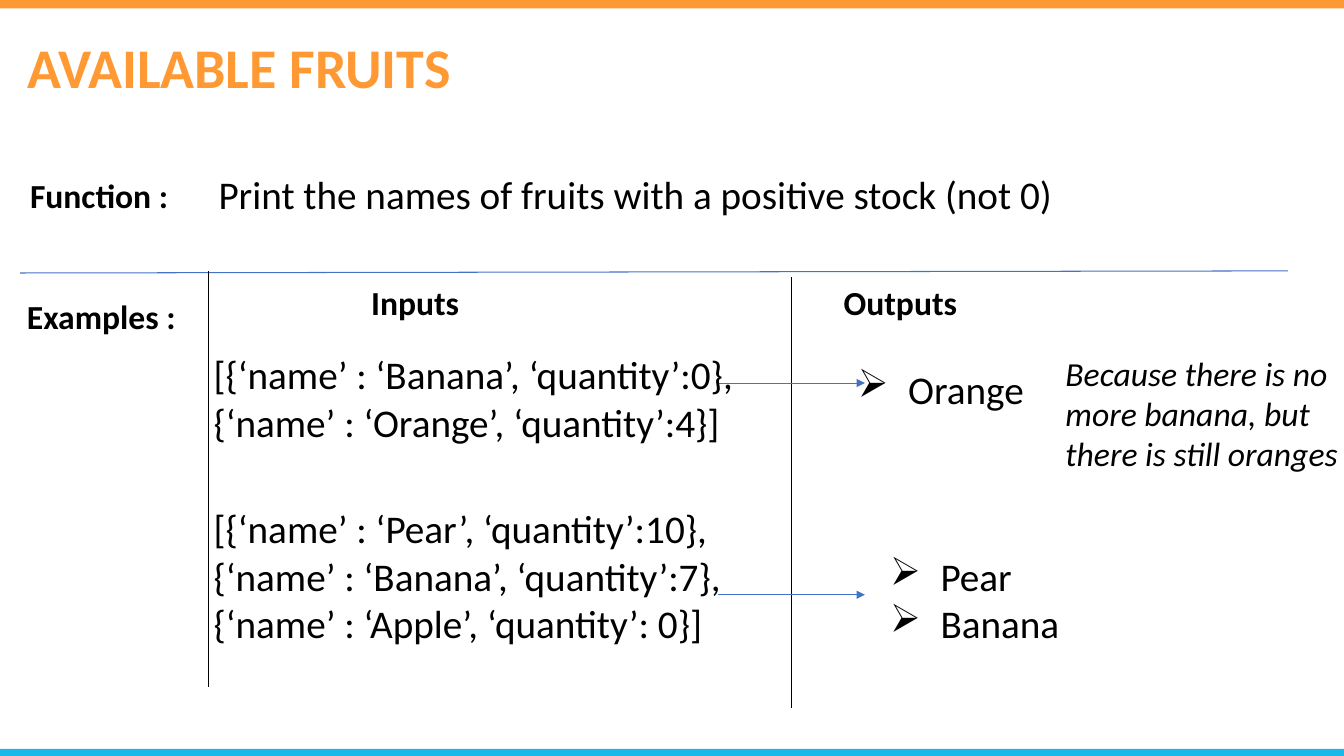
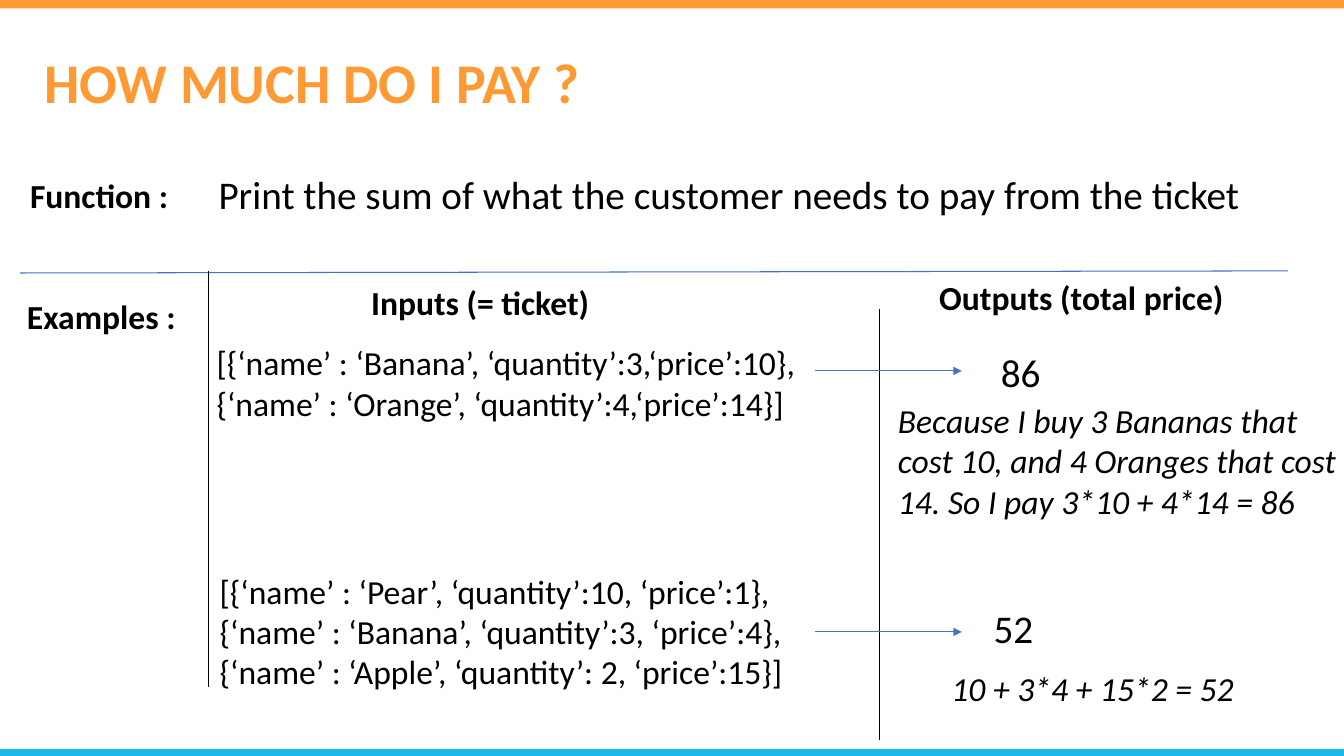
import pptx
import pptx.dml.color
import pptx.enum.shapes
import pptx.enum.text
import pptx.oxml
import pptx.oxml.ns
import pptx.util

Pt = pptx.util.Pt
RGBColor = pptx.dml.color.RGBColor

# Shared style
ORANGE = RGBColor(0xFF, 0x99, 0x33)
CYAN = RGBColor(0x1B, 0xB9, 0xEA)
BLUE = RGBColor(0x44, 0x72, 0xC4)
BLACK = RGBColor(0, 0, 0)
FONT = "Calibri"
TITLE_SIZE, LARGE, MEDIUM = 40, 28, 24
WIDTH, HEIGHT = 960, 540
BANDS = [(0, 6, ORANGE), (535, 5, CYAN)]
LABELS = [("Function :", (14.4, 121.7, 147, 65.5)),
          ("Examples :", (12.2, 208, 149, 65.5))]
PURPOSE_FRAME = (149, 118, 802, 41)
ARROW_LENGTH = 105


def write(box, frame, lines, size, color=BLACK, bold=False, italic=False, bullet=False):
    """Place a box and fill it with one paragraph per line."""
    box.left, box.top, box.width, box.height = [Pt(length) for length in frame]
    text = box.text_frame
    text.word_wrap = True
    text.auto_size = pptx.enum.text.MSO_AUTO_SIZE.SHAPE_TO_FIT_TEXT
    text.vertical_anchor = pptx.enum.text.MSO_ANCHOR.TOP
    for index, line in enumerate(lines):
        para = text.add_paragraph() if index else text.paragraphs[0]
        para.alignment = pptx.enum.text.PP_ALIGN.LEFT
        para.space_before = Pt(0)
        span = para.add_run()
        span.text = line
        span.font.name = FONT
        span.font.size = Pt(size)
        span.font.bold = bold
        span.font.italic = italic
        span.font.color.rgb = color
        if bullet:
            properties = para._p.get_or_add_pPr()
            properties.set("marL", str(Pt(36)))
            properties.set("indent", str(Pt(-36)))
            for tag, name, value in [("a:buFont", "typeface", "Wingdings"),
                                     ("a:buChar", "char", "Ø")]:
                mark = pptx.oxml.ns.qn(tag)
                properties.append(properties.makeelement(mark, {name: value}))


def draw_line(page, start, end, color, arrow=False):
    """Draw a thin straight line, with an arrowhead at its end if wanted."""
    line = page.shapes.add_connector(
        pptx.enum.shapes.MSO_CONNECTOR.STRAIGHT,
        Pt(start[0]), Pt(start[1]), Pt(end[0]), Pt(end[1]))
    line.line.color.rgb = color
    line.line.width = Pt(0.75)
    if arrow:
        outline = line.line._get_or_add_ln()
        head = pptx.oxml.ns.qn("a:tailEnd")
        outline.append(outline.makeelement(head, {"type": "triangle"}))
    properties = line._element.spPr
    properties.append(properties.makeelement(pptx.oxml.ns.qn("a:effectLst"), {}))


# Content of each exercise
TWO_CONTENT, TITLE_ONLY = 3, 5
exercises = [
    {
        "layout": TWO_CONTENT,
        "title": ("AVAILABLE FRUITS", (12.2, 19.4, 405, 55.7)),
        "purpose": "Print the names of fruits with a positive stock (not 0)",
        "headings": [("Inputs", (258, 198, 171, 65.5)),
                     ("Outputs", (595.5, 198, 109, 65.5))],
        "divider": (565.2, 198, 505.5),
        "arrows": (512.8, [273.6, 424.8]),
        "input_size": LARGE,
        "inputs": [
            (["[{‘name’ : ‘Banana’, ‘quantity’:0},",
              "{‘name’ : ‘Orange’, ‘quantity’:4}]"], (145.5, 247, 396, 75)),
            (["[{‘name’ : ‘Pear’, ‘quantity’:10},",
              "{‘name’ : ‘Banana’, ‘quantity’:7},",
              "{‘name’ : ‘Apple’, ‘quantity’: 0}]"], (145.5, 357, 420, 109)),
        ],
        "lists": [(["Orange"], (605.5, 257, 151, 41)),
                  (["Pear", "Banana"], (628.6, 391, 151, 75))],
        "results": [],
        "reasons": [("Because there is no more banana, but there is still oranges",
                     (754, 248.4, 234, 94.5))],
    },
    {
        "layout": TITLE_ONLY,
        "title": ("HOW MUCH DO I PAY ?", (24.5, 30.2, 492, 55.7)),
        "purpose": "Print the sum of what the customer needs to pay from the ticket",
        "headings": [("Inputs (= ticket)", (258, 198, 222, 65.5)),
                     ("Outputs (total price)", (663.8, 194.4, 222.5, 65.5))],
        "divider": (628.5, 221, 528.5),
        "arrows": (582, [265, 451.4]),
        "input_size": MEDIUM,
        "inputs": [
            (["[{‘name’ : ‘Banana’, ‘quantity’:3,‘price’:10},",
              "{‘name’ : ‘Orange’, ‘quantity’:4,‘price’:14}]"], (147.6, 241, 460, 65.5)),
            (["[{‘name’ : ‘Pear’, ‘quantity’:10, ‘price’:1},",
              "{‘name’ : ‘Banana’, ‘quantity’:3, ‘price’:4},",
              "{‘name’ : ‘Apple’, ‘quantity’: 2, ‘price’:15}]"], (149.8, 404, 425.5, 94.5)),
        ],
        "lists": [],
        "results": [("86", (707.8, 245.5, 60.5, 41)),
                    ("52", (702.7, 428.4, 60.5, 41))],
        "reasons": [("Because I buy 3 Bananas that cost 10, and 4 Oranges that cost 14. "
                     "So I pay 3*10 + 4*14 = 86", (634.3, 282.2, 331, 94.5)),
                    ("10 + 3*4 + 15*2 = 52", (672.5, 473.8, 224.6, 36))],
    },
]

deck = pptx.Presentation()
deck.slide_width, deck.slide_height = Pt(WIDTH), Pt(HEIGHT)

for exercise in exercises:
    page = deck.slides.add_slide(deck.slide_layouts[exercise["layout"]])

    # Bands at the top and bottom edges
    for top, height, color in BANDS:
        band = page.shapes.add_shape(
            pptx.enum.shapes.MSO_SHAPE.RECTANGLE, Pt(0), Pt(top), Pt(WIDTH), Pt(height))
        band.shadow.inherit = False
        band.fill.solid()
        band.fill.fore_color.rgb = color
        band.line.fill.background()

    # Title and output lists
    title, frame = exercise["title"]
    write(page.shapes.title, frame, [title], TITLE_SIZE, ORANGE, bold=True)
    bodies = list(page.placeholders)[1:]
    for body, (items, frame) in zip(bodies, exercise["lists"]):
        write(body, frame, items, LARGE, bullet=True)

    # Rules and arrows
    draw_line(page, (14.4, 195), (920, 193.5), BLUE)
    draw_line(page, (149, 193.5), (149, 491), BLACK)
    divider_x, divider_top, divider_bottom = exercise["divider"]
    draw_line(page, (divider_x, divider_top), (divider_x, divider_bottom), BLACK)
    arrow_x, arrow_rows = exercise["arrows"]
    for y in arrow_rows:
        draw_line(page, (arrow_x, y), (arrow_x + ARROW_LENGTH, y), BLUE, arrow=True)

    # Labels, purpose, inputs, results and reasons
    texts = [([label], frame, MEDIUM, True, False)
             for label, frame in LABELS + exercise["headings"]]
    texts.append(([exercise["purpose"]], PURPOSE_FRAME, LARGE, False, False))
    texts += [(lines, frame, exercise["input_size"], False, False)
              for lines, frame in exercise["inputs"]]
    texts += [([result], frame, LARGE, False, False)
              for result, frame in exercise["results"]]
    texts += [([reason], frame, MEDIUM, False, True)
              for reason, frame in exercise["reasons"]]
    for lines, frame, size, bold, italic in texts:
        box = page.shapes.add_textbox(0, 0, 0, 0)
        write(box, frame, lines, size, bold=bold, italic=italic)

deck.save("out.pptx")
